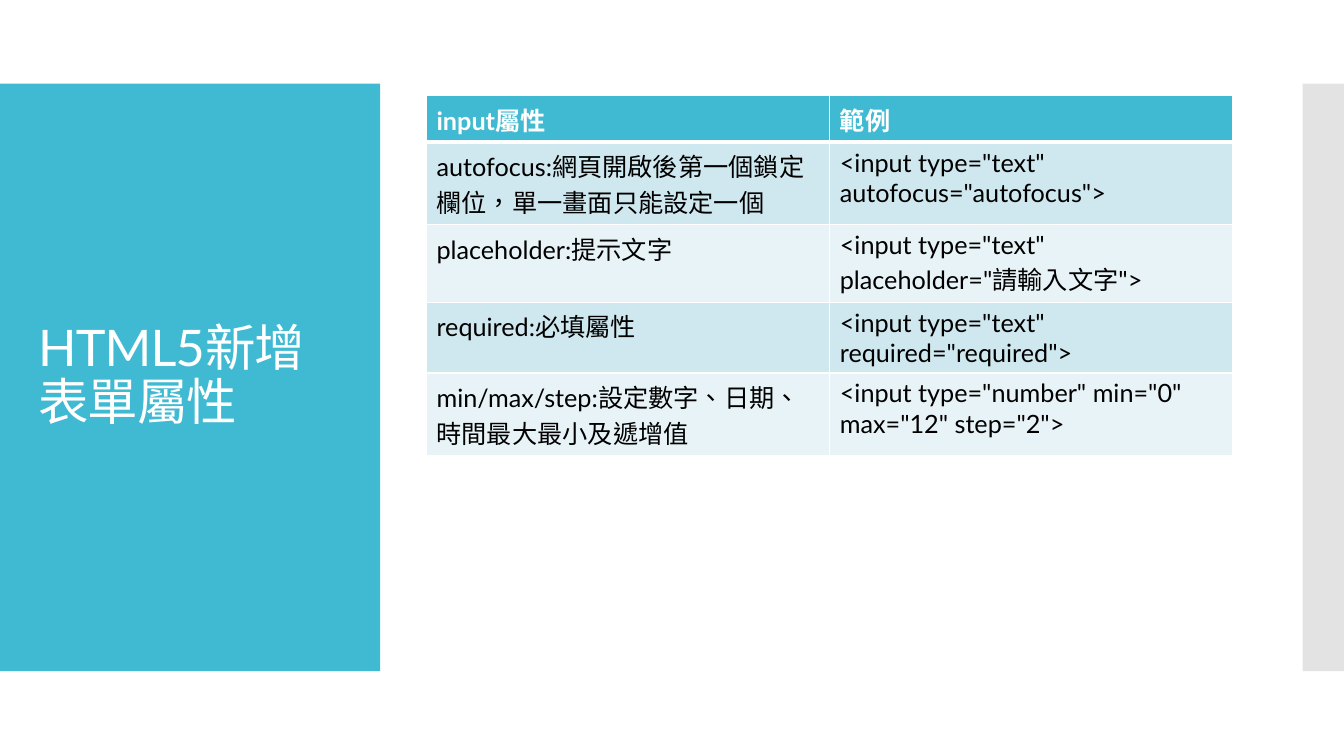
from pptx import Presentation
from pptx.dml.color import RGBColor
from pptx.enum.shapes import MSO_SHAPE as Shape
from pptx.enum.text import MSO_ANCHOR as Anchor
from pptx.oxml.ns import qn
from pptx.util import Inches, Pt
from lxml.etree import SubElement

TEAL = RGBColor(0x40, 0xBA, 0xD2)
GREY = RGBColor(0xC8, 0xC8, 0xC8)
WHITE = RGBColor(0xFF, 0xFF, 0xFF)
BLACK = RGBColor(0x00, 0x00, 0x00)
BAND_DARK = RGBColor(0xCF, 0xE7, 0xEE)
BAND_LIGHT = RGBColor(0xE8, 0xF3, 0xF7)


def write_text(frame, text, size=18, color=BLACK, bold=False, font="Lato",
               language="zh-TW", line_spacing=None, tracking=None):
    para = frame.paragraphs[0]
    para.line_spacing = line_spacing
    span = para.add_run()
    span.text = text
    span.font.name = font
    span.font.size = Pt(size)
    span.font.bold = bold
    span.font.color.rgb = color
    span.font._element.set("lang", language)
    if tracking is not None:
        span.font._element.set("spc", str(round(tracking * 100)))


class SlideBuilder:
    def __init__(self, slide):
        self.slide = slide
        self.border_color = WHITE

    def block(self, left, top, width, height, color, alpha=None):
        block = self.slide.shapes.add_shape(
            Shape.RECTANGLE, Inches(left), Inches(top), Inches(width), Inches(height))
        block.shadow.inherit = False
        block.line.fill.background()
        block.fill.solid()
        block.fill.fore_color.rgb = color
        if alpha is not None:
            tint = block._element.spPr.find(qn("a:solidFill"))[0]
            SubElement(tint, qn("a:alpha"), val=str(alpha * 1000))

    def text(self, left, top, width, height, text, **style):
        box = self.slide.shapes.add_textbox(
            Inches(left), Inches(top), Inches(width), Inches(height))
        box.text_frame.word_wrap = True
        box.text_frame.vertical_anchor = Anchor.MIDDLE
        write_text(box.text_frame, text, **style)

    def borders(self, cell, top, bottom):
        properties = cell._tc.get_or_add_tcPr()
        widths = {"a:lnL": 1, "a:lnR": 1, "a:lnT": top, "a:lnB": bottom}
        for index, (side, width) in enumerate(widths.items()):
            line = SubElement(properties, qn(side), w=str(Pt(width)))
            fill = SubElement(line, qn("a:solidFill"))
            SubElement(fill, qn("a:srgbClr"), val=str(self.border_color))
            properties.insert(index, line)  # borders come before the fill

    def table(self, left, top, column_width, row_heights, rows):
        columns = len(rows[0])
        table = self.slide.shapes.add_table(
            len(rows), columns, Inches(left), Inches(top),
            Inches(column_width * columns), Inches(sum(row_heights))).table
        for r, (row, height) in enumerate(zip(rows, row_heights)):
            table.rows[r].height = Inches(height)
            header = r == 0
            band = TEAL if header else (BAND_LIGHT, BAND_DARK)[r % 2]
            for c, text in enumerate(row):
                cell = table.cell(r, c)
                cell.fill.solid()
                cell.fill.fore_color.rgb = band
                # The thick rule lies between the header and the first row
                self.borders(cell, top=3 if r == 1 else 1, bottom=3 if header else 1)
                write_text(cell.text_frame, text, bold=header,
                           color=WHITE if header else BLACK)


deck = Presentation()
deck.slide_width, deck.slide_height = Inches(13.33), Inches(7.5)
page = SlideBuilder(deck.slides.add_slide(deck.slide_layouts[6]))

# Side panels
page.block(0, 0.83, 3.77, 5.83, TEAL)
page.block(12.92, 0.83, 0.41, 5.83, GREY, alpha=50)

# Title
page.text(0.28, 1.23, 3.22, 5.03, "HTML5新增表單屬性",
          size=36, color=WHITE, line_spacing=0.9, tracking=-0.6)

# Attribute table
ATTRIBUTES = [
    ("input屬性", "範例"),
    ("autofocus:網頁開啟後第一個鎖定欄位，單一畫面只能設定一個",
     '<input type="text" autofocus="autofocus">'),
    ("placeholder:提示文字", '<input type="text" placeholder="請輸入文字">'),
    ("required:必填屬性", '<input type="text" required="required">'),
    ("min/max/step:設定數字、日期、時間最大最小及遞增值",
     '<input type="number" min="0" max="12" step="2">'),
]
ROW_HEIGHTS = [0.46, 0.82, 0.77, 0.7, 0.82]
page.table(4.23, 0.95, 4, ROW_HEIGHTS, ATTRIBUTES)

deck.save("out.pptx")
